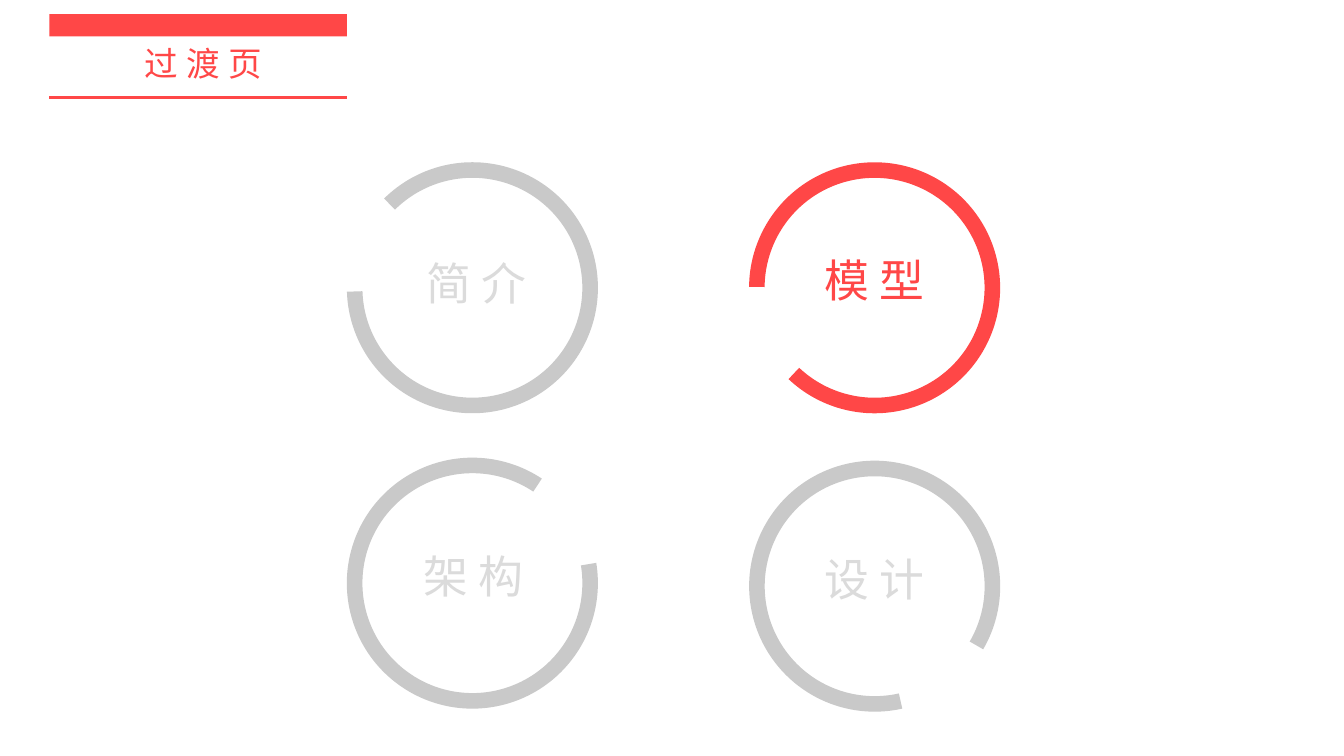
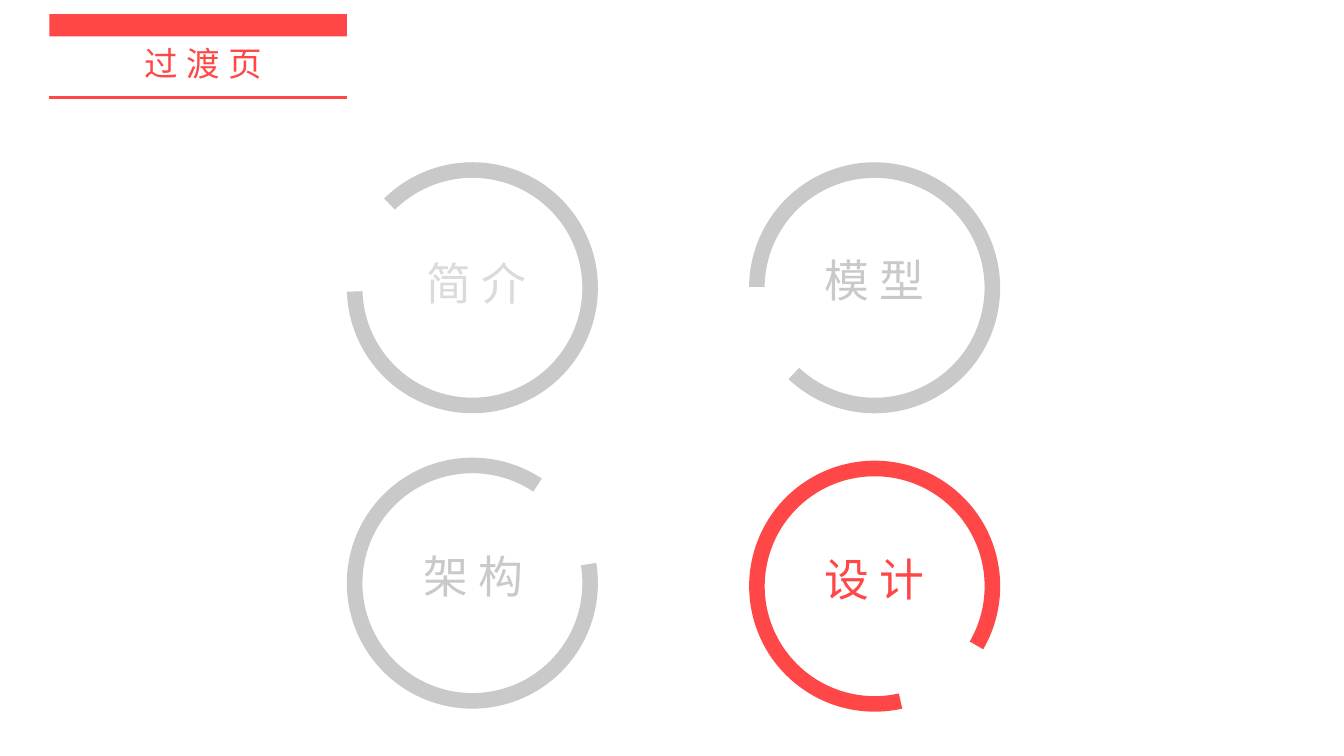
from dataclasses import dataclass

from lxml import etree
from pptx import Presentation
from pptx import util as u
from pptx.dml.color import RGBColor
from pptx.enum import shapes, text
from pptx.oxml import ns

EMU_PER_PX = 9144  # 100 px to the inch
FONT = "Noto Sans CJK SC"
COLORS = {"accent": "FF4747", "ring": "C9C9C9", "muted": "DBDBDB"}
RING_SIZE = 249
RING_ADJUSTMENTS = (135.18, 106.915, 0.062)  # start, end, thickness
LABEL_SIZE = (123, 64)


@dataclass(frozen=True)
class Section:
    name: str
    ring_at: tuple[int, int]
    rotation: float
    label_at: tuple[int, int]


SECTIONS = (
    Section("简 介", (344, 161), 0, (411, 249)),
    Section("模 型", (743, 161), 315.1, (806, 246)),
    Section("架 构", (344, 454), 125.4, (408, 539)),
    Section("设 计", (743, 457), 212, (806, 542)),
)


@dataclass(frozen=True)
class Page:
    active: str
    label_colors: dict[str, str]


PAGES = (
    Page("模 型", {"简 介": "muted", "架 构": "muted", "设 计": "muted"}),
    Page("设 计", {"简 介": "muted", "模 型": "ring", "架 构": "ring"}),
)


def px(*lengths: int) -> list[u.Emu]:
    return [u.Emu(n * EMU_PER_PX) for n in lengths]


def rgb(color: str) -> RGBColor:
    return RGBColor.from_string(COLORS[color])


def add_filled(parent, kind, box: tuple[int, ...], color: str):
    sp = parent.shapes.add_shape(kind, *px(*box))
    sp.shadow.inherit = False
    sp.fill.solid()
    sp.fill.fore_color.rgb = rgb(color)
    sp.line.fill.background()
    return sp


def add_label(parent, box: tuple[int, ...], words: str, size: int,
              color: str, spacing: int = 0) -> None:
    """Add one centred, unwrapped line; spacing is in points."""
    tf = parent.shapes.add_textbox(*px(*box)).text_frame
    p = tf.paragraphs[0]
    r = p.add_run()
    r.text = words
    formats = (
        (tf, {"word_wrap": False, "auto_size": text.MSO_AUTO_SIZE.SHAPE_TO_FIT_TEXT}),
        (p, {"alignment": text.PP_ALIGN.CENTER}),
        (r.font, {"name": FONT, "size": u.Pt(size)}),
    )
    for target, values in formats:
        for name, value in values.items():
            setattr(target, name, value)
    r.font.color.rgb = rgb(color)
    r_pr = r._r.get_or_add_rPr()
    etree.SubElement(r_pr, ns.qn("a:ea"), typeface=FONT)
    if spacing:
        r_pr.set("spc", str(spacing * 100))


def add_header(slide) -> None:
    band = slide.shapes.add_group_shape()
    add_filled(band, shapes.MSO_SHAPE.RECTANGLE, (49, 14, 295, 22), "accent")
    rule = band.shapes.add_connector(
        shapes.MSO_CONNECTOR.STRAIGHT, *px(49, 97, 344, 97))
    rule.line.color.rgb = rgb("accent")
    rule.line.width = u.Pt(2)
    etree.SubElement(rule._element.spPr, ns.qn("a:effectLst"))
    add_label(slide, (126, 38, 151, 50), "过渡页", 24, "accent", spacing=6)


def add_section(slide, section: Section, ring_color: str, label_color: str) -> None:
    group = slide.shapes.add_group_shape()
    ring = add_filled(group, shapes.MSO_SHAPE.BLOCK_ARC,
                      (*section.ring_at, RING_SIZE, RING_SIZE), ring_color)
    ring.rotation = section.rotation
    for i, value in enumerate(RING_ADJUSTMENTS):
        ring.adjustments[i] = value
    add_label(group, (*section.label_at, *LABEL_SIZE), section.name, 32, label_color)


def main() -> None:
    prs = Presentation()
    prs.slide_width, prs.slide_height = px(1333, 750)
    for page in PAGES:
        slide = prs.slides.add_slide(prs.slide_layouts[6])
        add_header(slide)
        for section in SECTIONS:
            ring_color = "accent" if section.name == page.active else "ring"
            label_color = page.label_colors.get(section.name, "accent")
            add_section(slide, section, ring_color, label_color)
    prs.save("out.pptx")


if __name__ == "__main__":
    main()
